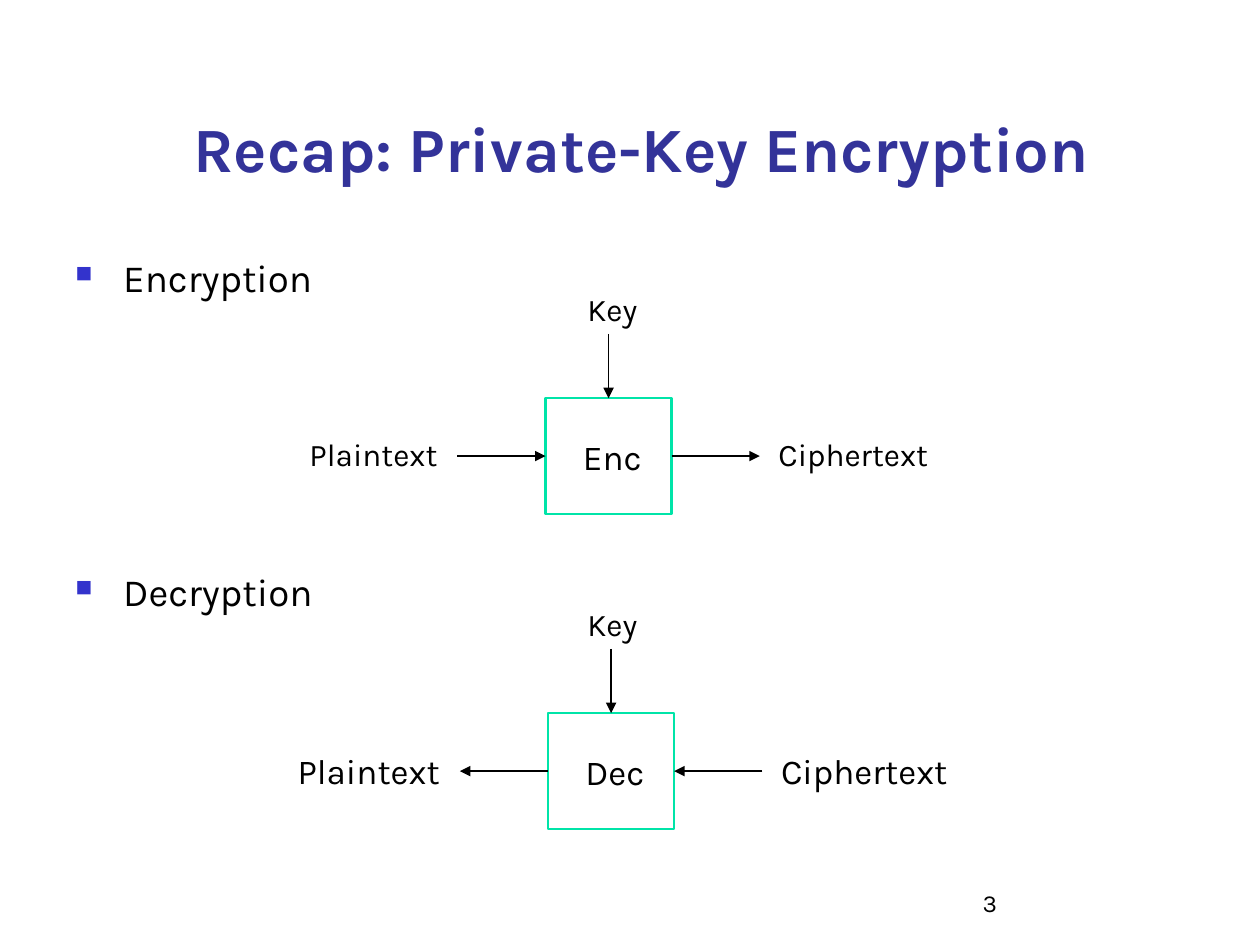
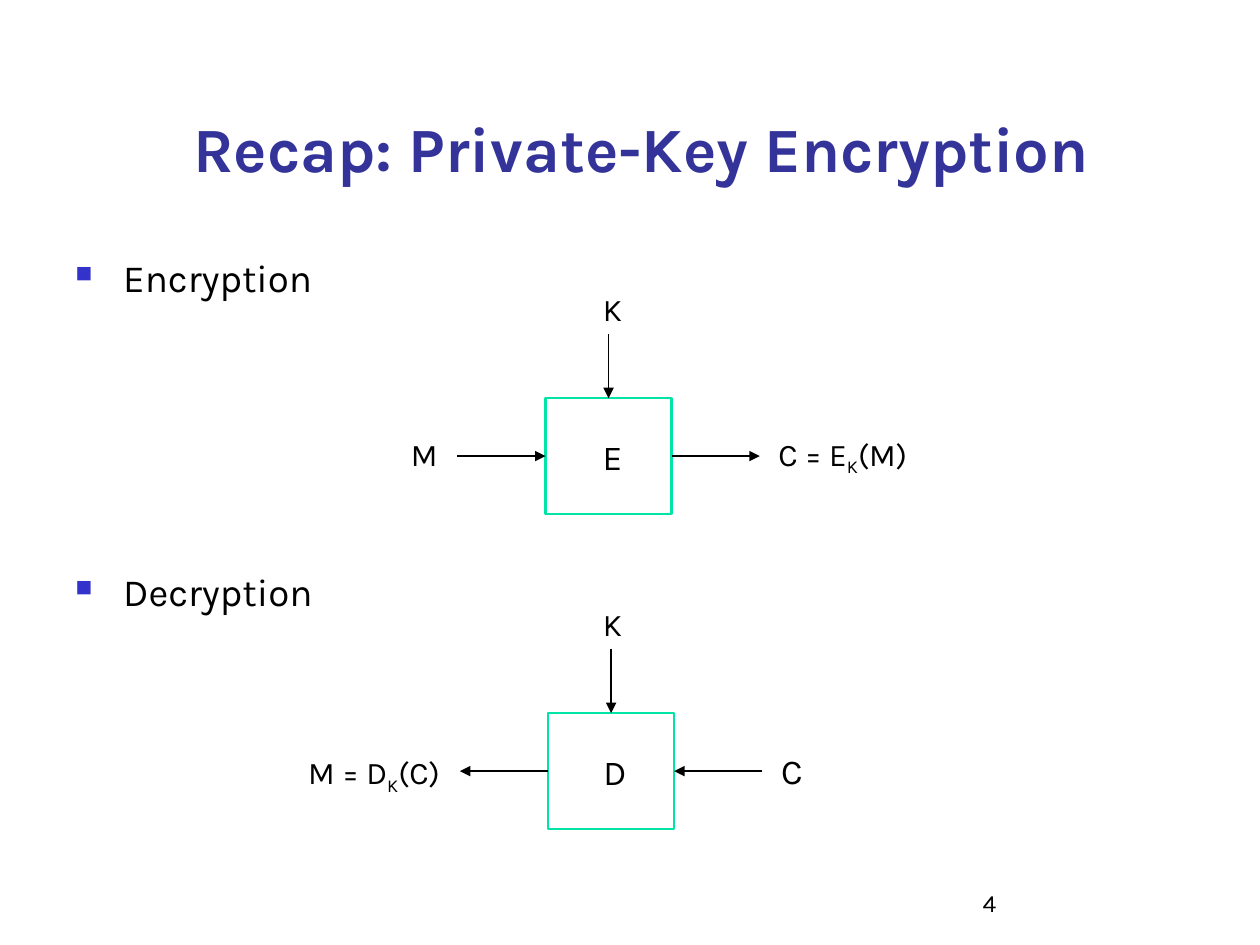
from lxml import etree
from pptx import Presentation
from pptx import util as u
from pptx.dml.color import RGBColor
from pptx.enum import shapes, text
from pptx.oxml import ns

PX = 9144
FONT = "Karla"
COLORS = {"title": "333399", "bullet": "3333CC", "ink": "000000", "box": "00E4A8"}
TITLE = "Recap: Private-Key Encryption"
BOX_WIDTH, BOX_HEIGHT = 100, 92
ARROW_LENGTH = 70
KEY_ARROW_LENGTH = 51
TOP, LEFT, RIGHT = 0, 1, 3
ALIGN, ANCHOR = text.PP_ALIGN, text.MSO_ANCHOR

SLIDES = [
    {
        "number": "3",
        "key": "Key",
        "enc": {"name": "Enc", "left": ("Plaintext", 18, 24), "right": ("Ciphertext", 18, 24)},
        "dec": {"name": "Dec", "left": ("Plaintext", 20, 24), "right": ("Ciphertext", 20, 24)},
    },
    {
        "number": "4",
        "key": "K",
        "enc": {"name": "E", "left": ("M", 18, 24), "right": ("C = E|K|(M)", 18, 24)},
        "dec": {"name": "D", "left": ("M = D|K|(C)", 18, 27), "right": ("C", 20, 24)},
    },
]


def px(*lengths):
    return [u.Emu(length * PX) for length in lengths]


def color(name):
    return RGBColor.from_string(COLORS[name])


def style(para, size, align=ALIGN.LEFT, ink="ink", bold=False):
    para.alignment = align
    para.font.name = FONT
    para.font.size = u.Pt(size)
    para.font.bold = bold
    para.font.color.rgb = color(ink)


def add_frame(page, left, top, width, height):
    frame = page.shapes.add_textbox(*px(left, top, width, height)).text_frame
    frame.word_wrap = True
    return frame


def add_label(page, area, words, size, align=ALIGN.LEFT, anchor=ANCHOR.TOP):
    frame = add_frame(page, *area)
    frame.vertical_anchor = anchor
    para = frame.paragraphs[0]
    style(para, size, align)
    for index, part in enumerate(words.split("|")):
        span = para.add_run()
        span.text = part
        if index % 2:
            span.font._element.set("baseline", "-25000")


def add_arrow(page, start, end, box, side, outward=False):
    arrow = page.shapes.add_connector(shapes.MSO_CONNECTOR.STRAIGHT, *px(*start, *end))
    if outward:
        arrow.begin_connect(box, side)
    else:
        arrow.end_connect(box, side)
    arrow.line.color.rgb = color("ink")
    arrow.line.width = u.Pt(0.75)
    etree.SubElement(arrow.line._get_or_add_ln(), ns.qn("a:tailEnd"), type="triangle")
    etree.SubElement(arrow._element.spPr, ns.qn("a:effectLst"))


def add_title(page):
    title = page.shapes.title
    title.left, title.top, title.width, title.height = px(83, -8, 852, 160)
    title.text_frame.text = TITLE
    title.text_frame.vertical_anchor = ANCHOR.BOTTOM
    style(title.text_frame.paragraphs[0], 36, ALIGN.CENTER, "title", True)


def add_bullets(page):
    frame = add_frame(page, 50, 197, 900, 495)
    for index, (words, gap) in enumerate((("Encryption", 0), ("Decryption", 153))):
        para = frame.add_paragraph() if index else frame.paragraphs[0]
        para.text = words
        props = para._p.get_or_add_pPr()
        props.set("marL", str(38 * PX))
        props.set("indent", str(-38 * PX))
        tint = etree.SubElement(props, ns.qn("a:buClr"))
        etree.SubElement(tint, ns.qn("a:srgbClr"), val=COLORS["bullet"])
        etree.SubElement(props, ns.qn("a:buSzPct"), val="60000")
        etree.SubElement(props, ns.qn("a:buChar"), char="■")
        para.space_before = u.Pt(gap)
        style(para, 22)


def add_cipher(page, left, top, key, cipher, reverse=False):
    box = page.shapes.add_shape(
        shapes.MSO_SHAPE.RECTANGLE, *px(left, top, BOX_WIDTH, BOX_HEIGHT))
    box.shadow.inherit = False
    box.fill.background()
    box.line.color.rgb = color("box")
    box.line.width = u.Pt(1.5)
    add_label(page, (left + 7, top + 25, 92, 44), cipher["name"], 20, ALIGN.CENTER)

    center, middle = left + BOX_WIDTH // 2, top + BOX_HEIGHT // 2
    add_label(page, (392, top - 91, 188, 40), key, 18, ALIGN.CENTER)
    add_arrow(page, (center, top - KEY_ARROW_LENGTH), (center, top), box, TOP)

    sides = (
        ("left", left - 238, ALIGN.RIGHT, LEFT, left, -ARROW_LENGTH, reverse),
        ("right", left + 175, ALIGN.LEFT, RIGHT, left + BOX_WIDTH, ARROW_LENGTH, not reverse),
    )
    for name, label_left, align, side, edge, reach, outward in sides:
        words, size, drop = cipher[name]
        add_label(page, (label_left, top + drop, 162, 2 * size + 4), words, size, align)
        near, far = (edge, middle), (edge + reach, middle)
        start, end = (near, far) if outward else (far, near)
        add_arrow(page, start, end, box, side, outward)


def add_recap(deck, content):
    page = deck.slides.add_slide(deck.slide_layouts[5])
    add_title(page)
    add_label(page, (770, 683, 208, 50), content["number"], 14, anchor=ANCHOR.BOTTOM)
    add_bullets(page)
    add_cipher(page, 433, 316, content["key"], content["enc"])
    add_cipher(page, 435, 566, content["key"], content["dec"], reverse=True)


def main():
    deck = Presentation()
    deck.slide_width, deck.slide_height = px(1000, 750)
    for content in SLIDES:
        add_recap(deck, content)
    deck.save("out.pptx")


if __name__ == "__main__":
    main()
